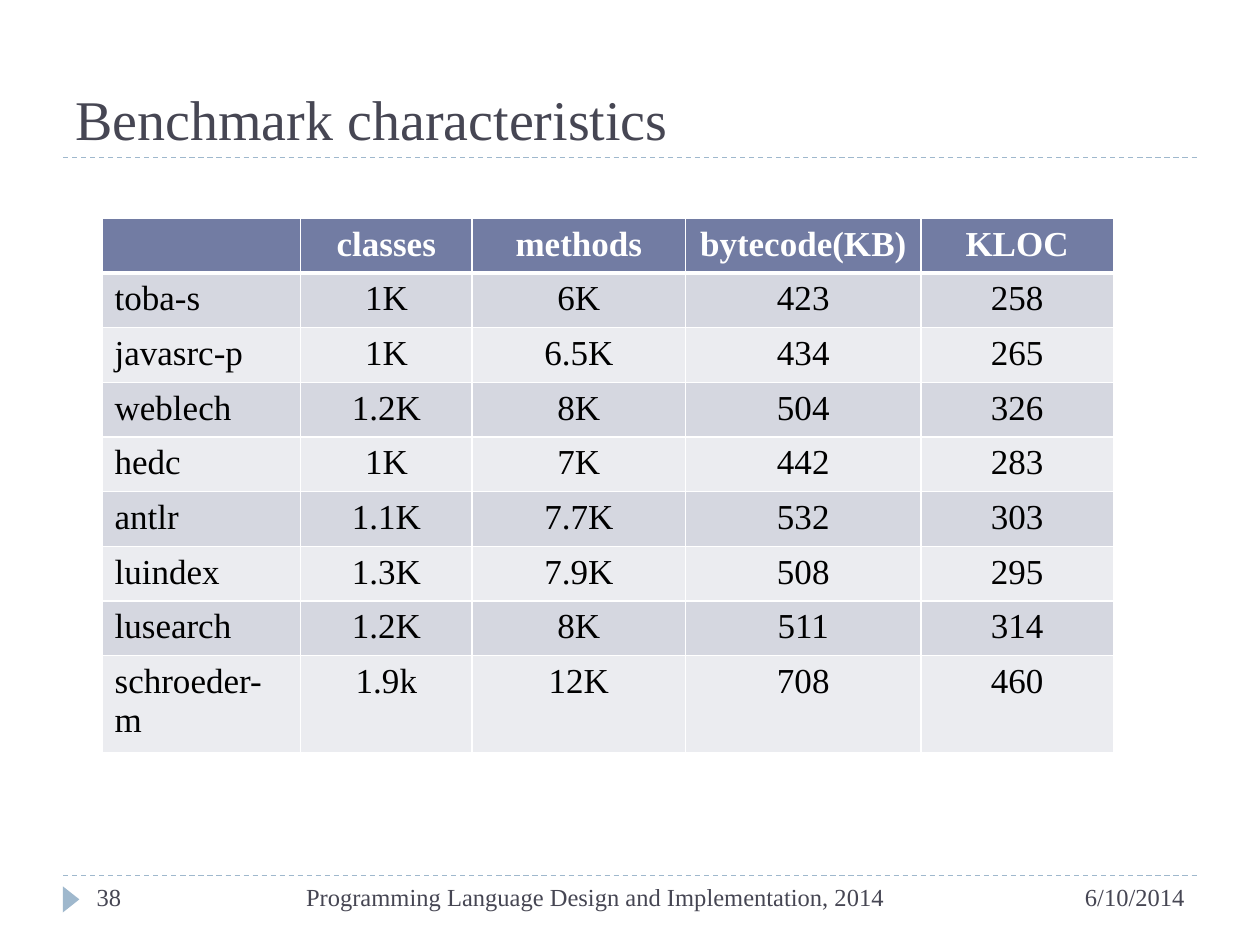
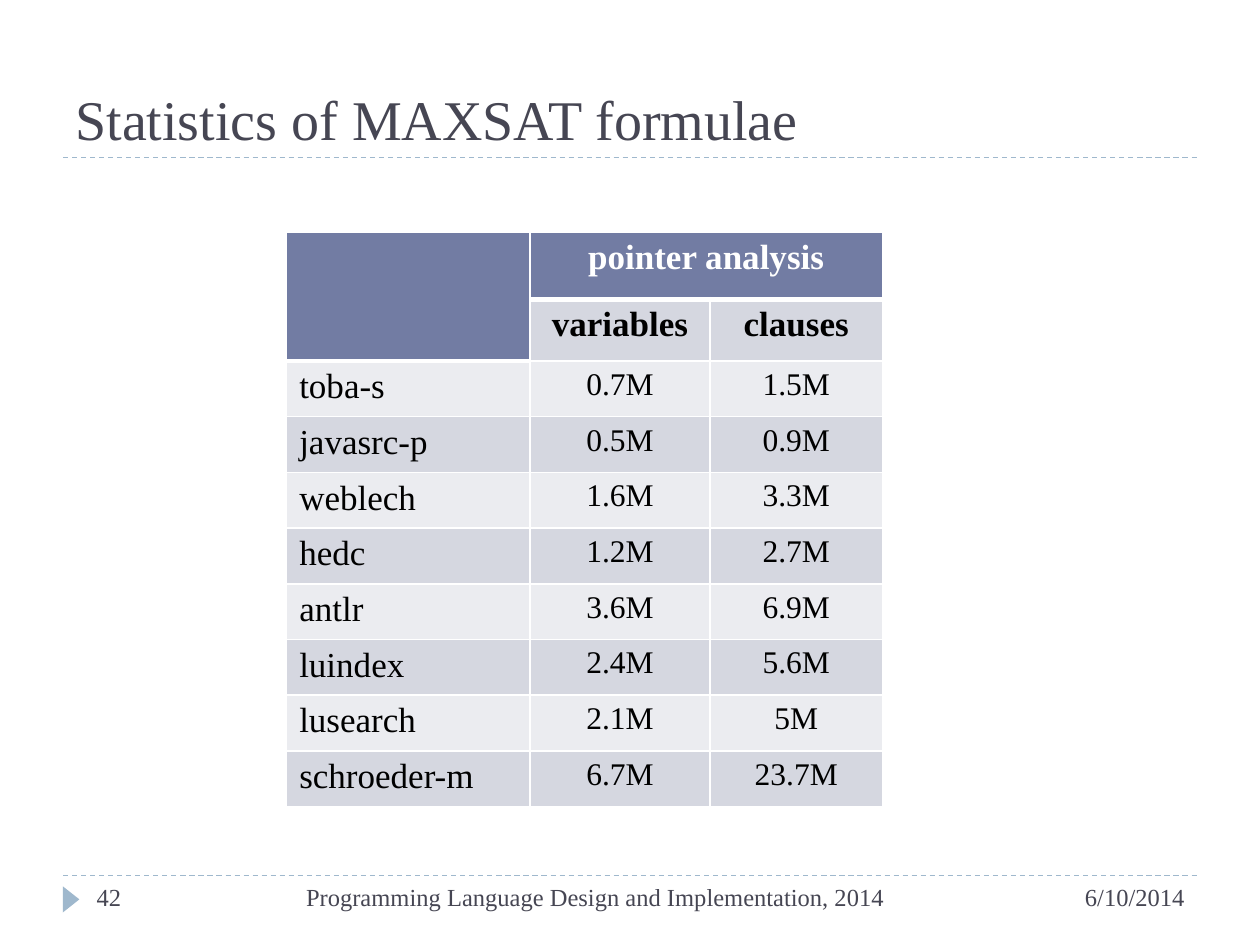
import pptx
import pptx.dml.color
import pptx.enum.dml
import pptx.enum.shapes
import pptx.enum.text
import pptx.oxml
import pptx.oxml.ns
import pptx.util
from dataclasses import dataclass

Pt = pptx.util.Pt
ALIGN = pptx.enum.text.PP_ALIGN
ANCHOR = pptx.enum.text.MSO_ANCHOR

# Content
FOOTER = "Programming Language Design and Implementation, 2014"
DATE = "6/10/2014"

SLIDES = [
    {
        "title": "Benchmark characteristics",
        "number": "38",
        "origin": (58.3, 124.8),
        "columns": [113.5, 98, 122, 134.5, 110],
        "row_heights": [29.4] * 8 + [51.4],
        "merges": [],
        "heading_rows": 1,
        "value_size": 20,
        "rows": [
            ("", "classes", "methods", "bytecode(KB)", "KLOC"),
            ("toba-s", "1K", "6K", "423", "258"),
            ("javasrc-p", "1K", "6.5K", "434", "265"),
            ("weblech", "1.2K", "8K", "504", "326"),
            ("hedc", "1K", "7K", "442", "283"),
            ("antlr", "1.1K", "7.7K", "532", "303"),
            ("luindex", "1.3K", "7.9K", "508", "295"),
            ("lusearch", "1.2K", "8K", "511", "314"),
            ("schroeder-m", "1.9k", "12K", "708", "460"),
        ],
    },
    {
        "title": "Statistics of MAXSAT formulae",
        "number": "42",
        "origin": (163.8, 132.5),
        "columns": [139, 103, 98.5],
        "row_heights": [38.5, 35.3] + [31.85] * 8,
        "merges": [((0, 0), (1, 0)), ((0, 1), (0, 2))],
        "heading_rows": 2,
        "value_size": 18,
        "rows": [
            ("", "pointer analysis", ""),
            ("", "variables", "clauses"),
            ("toba-s", "0.7M", "1.5M"),
            ("javasrc-p", "0.5M", "0.9M"),
            ("weblech", "1.6M", "3.3M"),
            ("hedc", "1.2M", "2.7M"),
            ("antlr", "3.6M", "6.9M"),
            ("luindex", "2.4M", "5.6M"),
            ("lusearch", "2.1M", "5M"),
            ("schroeder-m", "6.7M", "23.7M"),
        ],
    },
]


@dataclass(frozen=True)
class Theme:
    font: str = "Times New Roman"
    ink: str = "464653"
    accent: str = "9FB8CD"
    header: str = "727CA3"
    bands: tuple = ("EBECF0", "D5D7E0")
    white: str = "FFFFFF"
    black: str = "000000"
    title_size: int = 32
    footer_size: int = 14
    table_size: int = 20


THEME = Theme()
MARGIN, CONTENT_WIDTH = 36, 648
TITLE_RULE, FOOTER_RULE = 90, 500.4


def rgb(color):
    return pptx.dml.color.RGBColor.from_string(color)


def format_runs(paragraph, size, color, bold=False):
    for run in paragraph.runs:
        run.font.name = THEME.font
        run.font.size = Pt(size)
        run.font.bold = bold
        run.font.color.rgb = rgb(color)


def add_text(slide, text, box, size, align=ALIGN.LEFT, anchor=ANCHOR.TOP):
    text_frame = slide.shapes.add_textbox(*map(Pt, box)).text_frame
    text_frame.word_wrap = True
    text_frame.vertical_anchor = anchor
    text_frame.text = text
    text_frame.paragraphs[0].alignment = align
    format_runs(text_frame.paragraphs[0], size, THEME.ink)


def add_rule(slide, y):
    rule = slide.shapes.add_connector(
        pptx.enum.shapes.MSO_CONNECTOR.STRAIGHT,
        Pt(MARGIN), Pt(y), Pt(MARGIN + CONTENT_WIDTH), Pt(y))
    rule.line.color.rgb = rgb(THEME.accent)
    rule.line.width = Pt(0.75)
    rule.line.dash_style = pptx.enum.dml.MSO_LINE.DASH
    properties = rule._element.spPr
    properties.append(properties.makeelement(pptx.oxml.ns.qn("a:effectLst"), {}))


# Title, rules and footer shared by all slides
def add_frame(slide, title, number):
    for y in (FOOTER_RULE, TITLE_RULE):
        add_rule(slide, y)
    marker = slide.shapes.add_shape(
        pptx.enum.shapes.MSO_SHAPE.ISOSCELES_TRIANGLE,
        Pt(33.1), Pt(509.2), Pt(15), Pt(9.5))
    marker.rotation = 90
    marker.shadow.inherit = False
    marker.fill.solid()
    marker.fill.fore_color.rgb = rgb(THEME.accent)
    marker.line.fill.background()

    add_text(slide, title, (MARGIN, 12.2, CONTENT_WIDTH, TITLE_RULE - 12.2),
             THEME.title_size, anchor=ANCHOR.BOTTOM)
    footer_parts = [
        (number, 48.2, 64, ALIGN.LEFT),
        (FOOTER, 112.3, 455.8, ALIGN.CENTER),
        (DATE, 504, 180, ALIGN.RIGHT),
    ]
    for text, left, width, align in footer_parts:
        add_text(slide, text, (left, FOOTER_RULE, width, 28.8),
                 THEME.footer_size, align)


def set_borders(cell, top, bottom):
    properties = cell._tc.get_or_add_tcPr()
    widths = {"lnL": 1, "lnR": 1, "lnT": top, "lnB": bottom}
    for index, (side, width) in enumerate(widths.items()):
        border = pptx.oxml.parse_xml(
            f'<a:{side} {pptx.oxml.ns.nsdecls("a")} w="{Pt(width)}"><a:solidFill>'
            f'<a:srgbClr val="{THEME.white}"/></a:solidFill></a:{side}>')
        properties.insert(index, border)


def add_data_table(slide, data):
    rows, columns = data["rows"], data["columns"]
    table = slide.shapes.add_table(
        len(rows), len(columns), *map(Pt, data["origin"]),
        Pt(sum(columns)), Pt(sum(data["row_heights"]))).table
    for column, width in zip(table.columns, columns):
        column.width = Pt(width)
    for row, height in zip(table.rows, data["row_heights"]):
        row.height = Pt(height)
    for first, last in data["merges"]:
        table.cell(*first).merge(table.cell(*last))

    def is_header(row, column):
        return row == 0 or table.cell(row, column).is_spanned

    for row, values in enumerate(rows):
        for column, value in enumerate(values):
            cell = table.cell(row, column)
            header = is_header(row, column)
            below_header = row > 0 and is_header(row - 1, column)
            cell.fill.solid()
            cell.fill.fore_color.rgb = rgb(
                THEME.header if header else THEME.bands[row % 2])
            set_borders(cell, 3 if below_header else 1, 3 if header else 1)

            # Names and headings keep the table size; values may be smaller
            heading = row < data["heading_rows"]
            size = THEME.table_size if heading or column == 0 else data["value_size"]
            cell.text_frame.text = value
            paragraph = cell.text_frame.paragraphs[0]
            paragraph.alignment = ALIGN.CENTER if column else ALIGN.LEFT
            format_runs(paragraph, size,
                        THEME.white if header else THEME.black, heading)


def main():
    presentation = pptx.Presentation()
    presentation.slide_width, presentation.slide_height = Pt(720), Pt(540)
    for data in SLIDES:
        slide = presentation.slides.add_slide(presentation.slide_layouts[6])
        add_frame(slide, data["title"], data["number"])
        add_data_table(slide, data)
    presentation.save("out.pptx")


if __name__ == "__main__":
    main()
